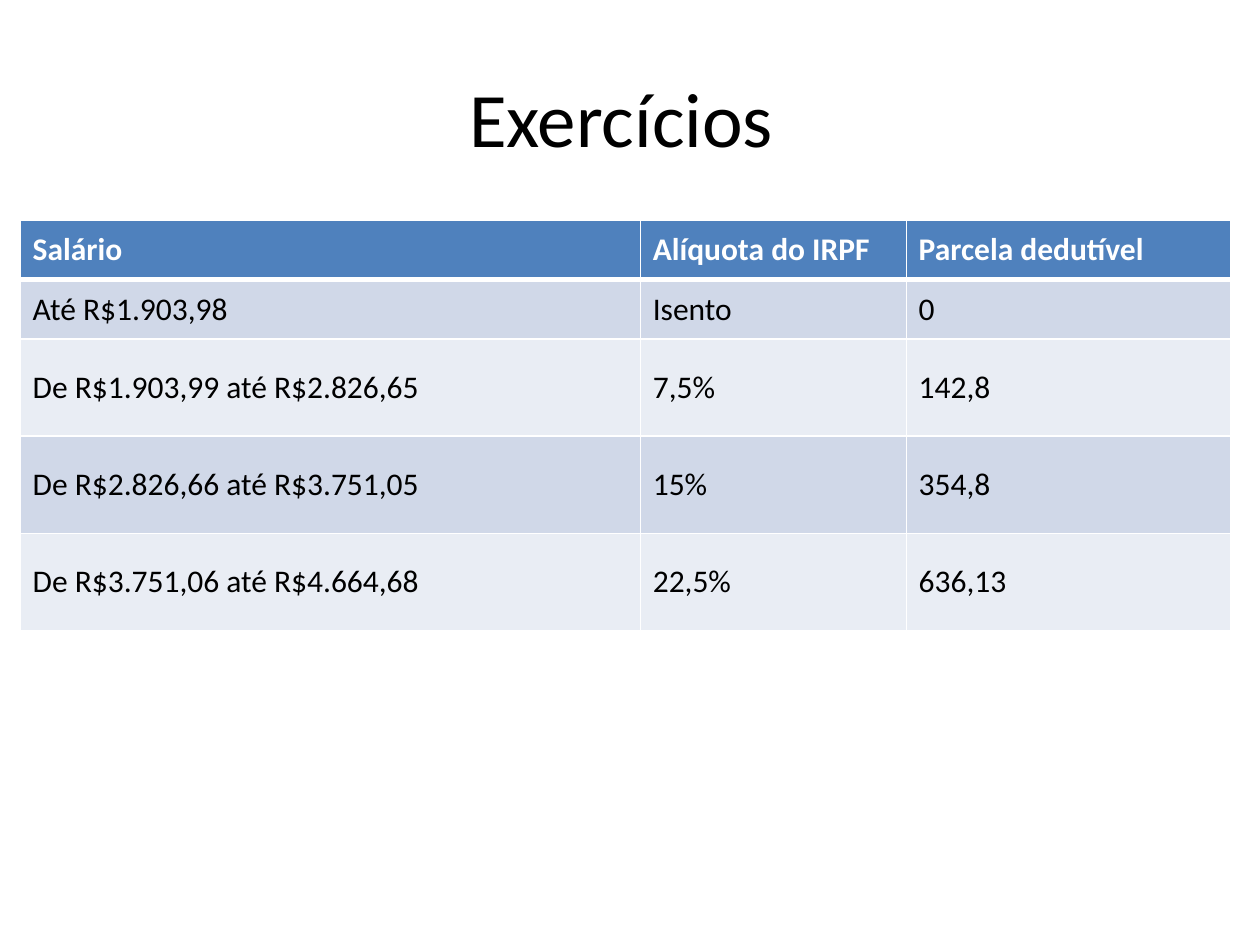
"""Build a slide with a table of income tax brackets."""
from lxml import etree
from pptx import Presentation
from pptx import util as u
from pptx.dml.color import RGBColor
from pptx.enum import text
from pptx.oxml import ns

BLACK = RGBColor(0x00, 0x00, 0x00)
WHITE = RGBColor(0xFF, 0xFF, 0xFF)
HEADER_BLUE = RGBColor(0x4F, 0x81, 0xBD)
BANDS = [RGBColor(0xE9, 0xED, 0xF4), RGBColor(0xD0, 0xD8, 0xE8)]

ROWS = [
    ("Salário", "Alíquota\u00a0do IRPF", "Parcela dedutível"),
    ("Até R$1.903,98", "Isento", "0"),
    ("De R$1.903,99 até R$2.826,65", "7,5%", "142,8"),
    ("De R$2.826,66 até R$3.751,05", "15%", "354,8"),
    ("De R$3.751,06 até R$4.664,68", "22,5%", "636,13"),
]
COLUMN_WIDTHS = [12.5, 5.36, 6.55]
ROW_HEIGHTS = [1.19, 1.19, 1.96, 1.96, 1.96]


def write_text(frame, content, size=18, color=BLACK, bold=False, align=text.PP_ALIGN.LEFT):
    paragraph = frame.paragraphs[0]
    paragraph.alignment = align
    run = paragraph.add_run()
    run.text = content
    run.font.name = "Calibri"
    run.font.size = u.Pt(size)
    run.font.bold = bold
    run.font.color.rgb = color


def set_borders(cell, widths):
    properties = cell._tc.get_or_add_tcPr()
    for index, (side, width) in enumerate(widths.items()):
        line = etree.Element(ns.qn(f"a:ln{side}"), w=str(u.Pt(width)))
        fill = etree.SubElement(line, ns.qn("a:solidFill"))
        etree.SubElement(fill, ns.qn("a:srgbClr"), val=str(WHITE))
        properties.insert(index, line)


presentation = Presentation()
presentation.slide_width = u.Cm(25.4)
presentation.slide_height = u.Cm(19.05)
slide = presentation.slides.add_slide(presentation.slide_layouts[5])

title = slide.shapes.title
title.left, title.top, title.width, title.height = map(u.Cm, (1.27, 0.76, 22.86, 3.18))
title.text_frame.vertical_anchor = text.MSO_ANCHOR.MIDDLE
write_text(title.text_frame, "Exercícios ", size=44, align=text.PP_ALIGN.CENTER)

table = slide.shapes.add_table(
    len(ROWS), len(COLUMN_WIDTHS), u.Cm(0.41), u.Cm(4.45),
    u.Cm(sum(COLUMN_WIDTHS)), u.Cm(sum(ROW_HEIGHTS)),
).table
for column, width in zip(table.columns, COLUMN_WIDTHS):
    column.width = u.Cm(width)

for row_index, (row, height, values) in enumerate(zip(table.rows, ROW_HEIGHTS, ROWS)):
    row.height = u.Cm(height)
    header = row_index == 0
    for cell, value in zip(row.cells, values):
        cell.margin_left = cell.margin_right = u.Cm(0.25)
        cell.margin_top = cell.margin_bottom = u.Cm(0.2)
        cell.vertical_anchor = text.MSO_ANCHOR.TOP if header else text.MSO_ANCHOR.MIDDLE
        cell.fill.solid()
        cell.fill.fore_color.rgb = HEADER_BLUE if header else BANDS[row_index % 2]
        set_borders(cell, {"L": 1, "R": 1, "T": 3 if row_index == 1 else 1, "B": 3 if header else 1})
        write_text(cell.text_frame, value, color=WHITE if header else BLACK, bold=header)

presentation.save("out.pptx")
